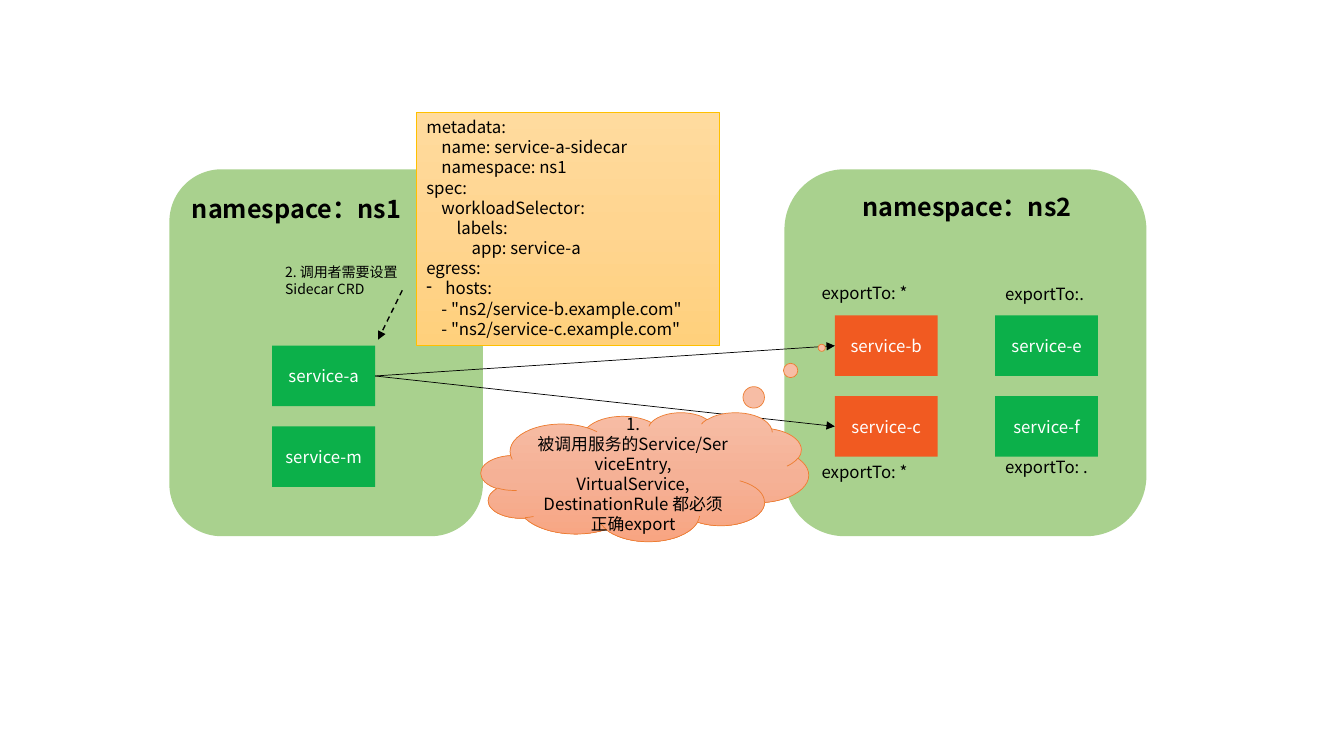
from copy import deepcopy

from lxml import etree
from pptx import Presentation
from pptx import util as u
from pptx.dml.color import RGBColor
from pptx.enum import dml, shapes, text
from pptx.oxml.ns import qn

BLACK = RGBColor(0x00, 0x00, 0x00)
WHITE = RGBColor(0xFF, 0xFF, 0xFF)
PALE_GREEN = RGBColor(0xA9, 0xD1, 0x8E)
GREEN = RGBColor(0x0C, 0xB0, 0x4A)
ORANGE = RGBColor(0xF1, 0x5A, 0x21)
GOLD = RGBColor(0xFF, 0xC0, 0x00)
RUST = RGBColor(0xED, 0x7D, 0x31)
SAND = [RGBColor(0xFF, 0xDB, 0x9E), RGBColor(0xFF, 0xD5, 0x90), RGBColor(0xFF, 0xD0, 0x7C)]
SALMON = [RGBColor(0xF7, 0xBD, 0xA5), RGBColor(0xF5, 0xB1, 0x96), RGBColor(0xF8, 0xA5, 0x82)]

FONT = "Noto Sans CJK SC"
CELL = u.Inches(0.1)
BOX_W, BOX_H, BOX_STEP = 10.2, 6, 8
TITLE_W = 26
RECT = shapes.MSO_SHAPE.RECTANGLE
LEFT, CENTER = text.PP_ALIGN.LEFT, text.PP_ALIGN.CENTER
TOP, MIDDLE = text.MSO_ANCHOR.TOP, text.MSO_ANCHOR.MIDDLE

SIDECAR = [
    (0, "metadata:"), (1, "name: service-a-sidecar"), (1, "namespace: ns1"),
    (0, "spec:"), (1, "workloadSelector:"), (2, "labels:"), (3, "app: service-a"),
    (0, "egress:"), ("-", "hosts:"),
    (1, '- "ns2/service-b.example.com"'), (1, '- "ns2/service-c.example.com"'),
]


def write(sp, lines, size=12, color=BLACK, bold=False, align=LEFT, anchor=TOP,
          wrap=True, grow=False, inset=None):
    tf = sp.text_frame
    tf.word_wrap = wrap
    tf.vertical_anchor = anchor
    if grow:
        tf.auto_size = text.MSO_AUTO_SIZE.SHAPE_TO_FIT_TEXT
    if inset is not None:
        tf.margin_left = tf.margin_right = tf.margin_top = tf.margin_bottom = grid(inset)
    for i, (level, line) in enumerate(lines):
        p = tf.add_paragraph() if i else tf.paragraphs[0]
        p.alignment = align
        pPr = p._p.get_or_add_pPr()
        if level == "-":
            pPr.set("marL", str(grid(1.9)))
            pPr.set("indent", str(-grid(1.9)))
            etree.SubElement(pPr, qn("a:buChar")).set("char", level)
        elif level:
            pPr.set("marL", str(grid(1.5 * level)))
        r = p.add_run()
        r.text = line
        r.font.size, r.font.bold, r.font.name = u.Pt(size), bold, FONT
        r.font.color.rgb = color
        etree.SubElement(r._r.get_or_add_rPr(), qn("a:ea")).set("typeface", FONT)


def grid(n):
    return round(n * CELL)


class Board:
    """Draws grid-placed elements in one style on the current slide."""

    def __init__(self, prs):
        prs.slide_width, prs.slide_height = u.Inches(13.33), u.Inches(7.5)
        self.s = prs.slides.add_slide(prs.slide_layouts[6])

    def shape(self, kind, col, row, w, h, fill, line=None):
        sp = self.s.shapes.add_shape(kind, *map(grid, (col, row, w, h)))
        sp.shadow.inherit = False
        if isinstance(fill, list):
            sp.fill.gradient()
            sp.fill.gradient_angle = 270
            stops = next(sp._element.spPr.iter(qn("a:gsLst")))
            stops.insert(1, deepcopy(stops[0]))
            for i, stop in enumerate(sp.fill.gradient_stops):
                stop.position, stop.color.rgb = i / 2, fill[i]
        else:
            sp.fill.solid()
            sp.fill.fore_color.rgb = fill
        if line is None:
            sp.line.fill.background()
        else:
            sp.line.color.rgb, sp.line.width = line, u.Pt(0.5)
        return sp

    def namespace(self, col, w, title, title_mid, title_row):
        self.shape(shapes.MSO_SHAPE.ROUNDED_RECTANGLE, col, 16.8, w, 36.4, PALE_GREEN)
        self.label(title_mid - TITLE_W / 2, title_row, TITLE_W, 2.9, title, size=18,
                   bold=True, align=CENTER, anchor=MIDDLE, inset=0.5)

    def services(self, col, row, names, fill):
        boxes = []
        for i, name in enumerate(names):
            sp = self.shape(RECT, col, row + i * BOX_STEP, BOX_W, BOX_H, fill)
            write(sp, [(0, name)], color=WHITE, align=CENTER, anchor=MIDDLE)
            boxes.append(sp)
        return boxes

    def label(self, col, row, w, h, line, **style):
        sp = self.s.shapes.add_textbox(*map(grid, (col, row, w, h)))
        write(sp, [(0, line)], **style)

    def arrow(self, start=(0, 0), end=(0, 0), width=0.5, dash=None):
        cx = self.s.shapes.add_connector(shapes.MSO_CONNECTOR.STRAIGHT, *map(grid, start + end))
        cx.line.color.rgb, cx.line.width = BLACK, u.Pt(width)
        if dash is not None:
            cx.line.dash_style = dash
        etree.SubElement(cx.line._get_or_add_ln(), qn("a:tailEnd")).set("type", "triangle")
        etree.SubElement(cx._element.spPr, qn("a:effectLst"))
        return cx

    def call(self, caller, callee):
        cx = self.arrow()
        cx.begin_connect(caller, 3)
        cx.end_connect(callee, 1)


def main():
    prs = Presentation()
    b = Board(prs)

    b.namespace(77.8, 35.9, "namespace：ns2", 95.9, 19)
    b.namespace(16.8, 31.1, "namespace：ns1", 29.4, 19.2)
    exported = b.services(82.8, 31.3, ["service-b", "service-c"], ORANGE)
    caller = b.services(27, 34.3, ["service-a", "service-m"], GREEN)[0]
    b.services(98.7, 31.3, ["service-e", "service-f"], GREEN)

    for col, row, w, line in [(80.5, 27.6, 10.8, "exportTo: *"), (80.5, 45.3, 10.8, "exportTo: *"),
                              (98.7, 27.7, 9.9, "exportTo:."), (98.7, 44.8, 10.8, "exportTo: .")]:
        b.label(col, row, w, 3, line, wrap=False, grow=True)

    sidecar = b.shape(RECT, 41.3, 11.1, 30.1, 23.2, SAND, GOLD)
    write(sidecar, SIDECAR, grow=True)
    b.arrow((39.9, 28.8), (37.5, 33.7), width=1, dash=dml.MSO_LINE.DASH)
    b.label(27.3, 25.7, 15, 4.4, "2. 调用者需要设置 Sidecar CRD", size=10, grow=True)

    for callee in exported:
        b.call(caller, callee)

    cloud = b.shape(shapes.MSO_SHAPE.CLOUD_CALLOUT, 47.7, 40.9, 32.5, 12.8, SALMON, RUST)
    cloud.adjustments[0], cloud.adjustments[1] = 0.54, -1
    write(cloud, [(0, "1. 被调用服务的Service/ServiceEntry, VirtualService, DestinationRule 都必须正确export")],
          align=CENTER, anchor=MIDDLE)

    prs.save("out.pptx")


if __name__ == "__main__":
    main()
